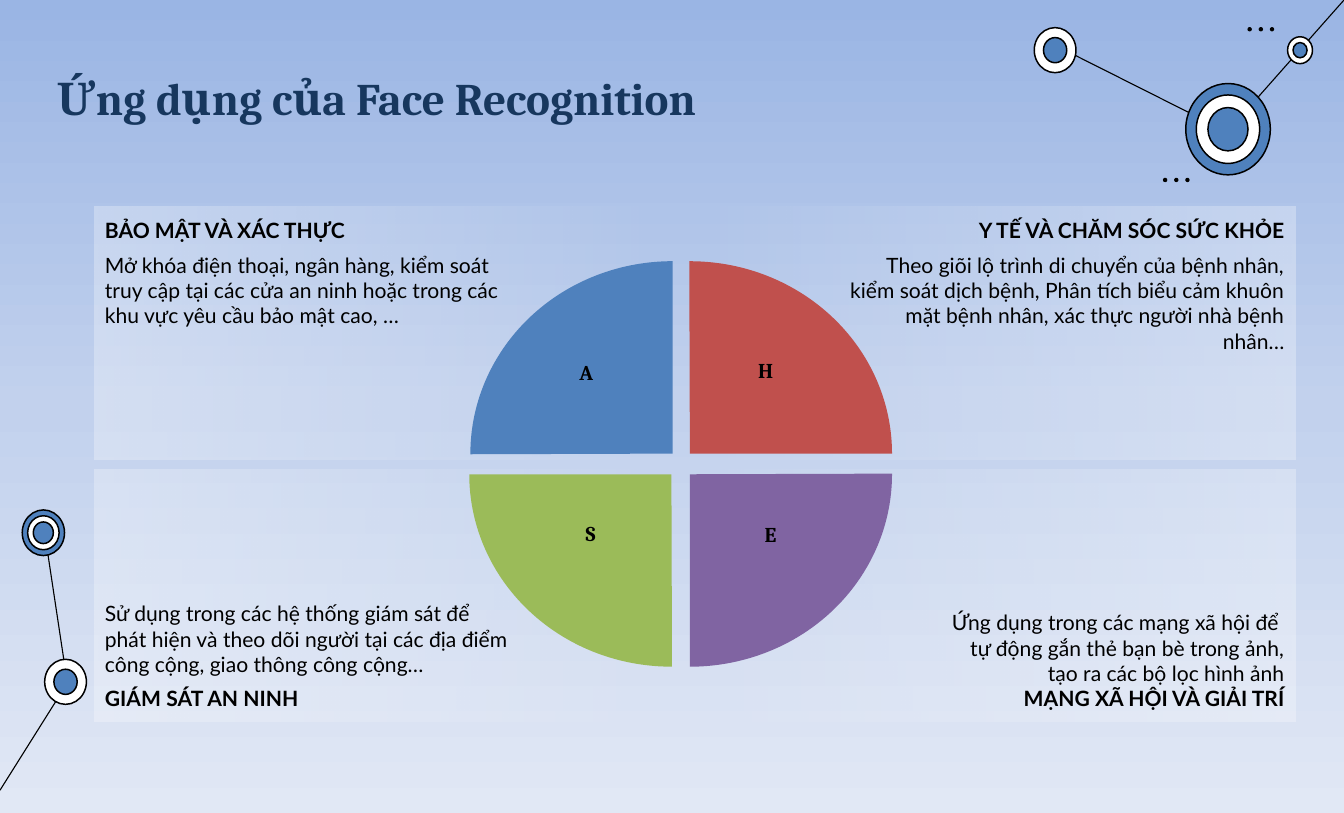
from lxml import etree
from pptx import Presentation
from pptx import util as u
from pptx.dml.color import RGBColor
from pptx.enum import shapes, text
from pptx.oxml.ns import qn

COLORS = {"black": "000000", "white": "FFFFFF", "navy": "17375E", "blue": "4F81BD",
          "red": "C0504D", "purple": "8064A2", "green": "9BBB59",
          "sky": "9AB5E4", "haze": "C2D1ED", "mist": "E1E8F5"}
RGB = {name: RGBColor.from_string(value) for name, value in COLORS.items()}
COLS, ROWS = 124, 75
LEFT, RIGHT = text.PP_ALIGN.LEFT, text.PP_ALIGN.RIGHT
TOP, BOTTOM = text.MSO_ANCHOR.TOP, text.MSO_ANCHOR.BOTTOM

prs = Presentation()
prs.slide_width, prs.slide_height = u.Inches(12.4), u.Inches(7.5)
CELL = prs.slide_width / COLS
slide = prs.slides.add_slide(prs.slide_layouts[5])


def grid(*cells):
    """Turn grid columns and rows into lengths."""
    return [u.Emu(round(n * CELL)) for n in cells]


def set_gradient(owner, fill, angle, stops):
    """Fill with (position %, colour name, opacity %) stops; clockwise angle."""
    fill.gradient()
    fill.gradient_angle = -angle % 360
    stop_list = owner.element.find(".//" + qn("a:gsLst"))
    for old in list(stop_list):
        stop_list.remove(old)
    for position, color, opacity in stops:
        gs = etree.SubElement(stop_list, qn("a:gs"), pos=str(position * 1000))
        clr = etree.SubElement(gs, qn("a:srgbClr"), val=COLORS[color])
        etree.SubElement(clr, qn("a:alpha"), val=str(opacity * 1000))


# Background
set_gradient(slide, slide.background.fill, 90,
             [(0, "sky", 100), (50, "haze", 100), (100, "mist", 100)])

# Network lines
for ends in [(6.2, 6.29 * 10, 4.1, 49), (0, 72.9, 6.1, 63.2),
             (113.3, 12.2, 97.6, 4.3), (COLS, 0, 113.3, 12.1)]:
    line = slide.shapes.add_connector(shapes.MSO_CONNECTOR.STRAIGHT, *grid(*ends))
    line.line.color.rgb = RGB["black"]
    line.line.width = u.Pt(0.75)
    etree.SubElement(line.element.spPr, qn("a:effectLst"))

# Network nodes: centre, then ring widths and colours from outside in
nodes = [
    (6.05, 62.9, [(3.85, "white"), (2.15, "blue")]),
    (4, 49.15, [(3.9, "blue"), (2.9, "white"), (1.85, "blue")]),
    (113.3, 11.92, [(7.8, "blue"), (5.85, "white"), (3.7, "blue")]),
    (97.35, 4.63, [(3.85, "white"), (2.15, "blue")]),
    (119.95, 4.63, [(2.3, "white"), (1.3, "blue")]),
]
for x, y, rings in nodes:
    for width, color in rings:
        height = width * 1.08
        sp = slide.shapes.add_shape(shapes.MSO_SHAPE.OVAL,
                                    *grid(x - width / 2, y - height / 2, width, height))
        sp.shadow.inherit = False
        sp.fill.solid()
        sp.fill.fore_color.rgb = RGB[color]
        sp.line.color.rgb = RGB["black"]
        sp.line.width = u.Pt(1)

# Rows of three dots
for left, top in [(115.1, 2.5), (107.3, 16.4)]:
    for i in range(3):
        sp = slide.shapes.add_shape(shapes.MSO_SHAPE.OVAL,
                                    *grid(left + i * 1.03, top, 0.4, 0.4))
        sp.shadow.inherit = False
        sp.fill.solid()
        sp.fill.fore_color.rgb = RGB["black"]
        sp.line.fill.background()

# Title
title = slide.shapes.title
title.left, title.top, title.width, title.height = grid(5.3, 5.8, 81.8, 5.8)
tf = title.text_frame
tf.text = "Ứng dụng của Face Recognition"
tf.auto_size = text.MSO_AUTO_SIZE.NONE
tf.vertical_anchor = BOTTOM
tf.margin_left = tf.margin_right = tf.margin_top = tf.margin_bottom = 0
p = tf.paragraphs[0]
p.alignment, p.line_spacing = LEFT, 0.9
font = p.runs[0].font
font.name, font.size, font.bold = "Cambria", u.Pt(30), True
font.color.rgb = RGB["navy"]

# Text panels: side, anchor, gap above paragraphs, (text, bold) paragraphs
panels = [
    (LEFT, TOP, 6, [
        ("BẢO MẬT VÀ XÁC THỰC", True),
        ("Mở khóa điện thoại, ngân hàng, kiểm soát truy cập tại các cửa an ninh "
         "hoặc trong các khu vực yêu cầu bảo mật cao, …", False)]),
    (RIGHT, TOP, 6, [
        ("Y TẾ VÀ CHĂM SÓC SỨC KHỎE", True),
        ("Theo giõi lộ trình di chuyển của bệnh nhân, kiểm soát dịch bệnh, Phân tích "
         "biểu cảm khuôn mặt bệnh nhân, xác thực người nhà bệnh nhân…", False)]),
    (LEFT, BOTTOM, 6, [
        ("Sử dụng trong các hệ thống giám sát để phát hiện và theo dõi người tại các "
         "địa điểm công cộng, giao thông công cộng…", False),
        ("GIÁM SÁT AN NINH", True)]),
    (RIGHT, BOTTOM, 0, [
        ("Ứng dụng trong các mạng xã hội để ", False),
        ("tự động gắn thẻ bạn bè trong ảnh,", False),
        ("tạo ra các bộ lọc hình ảnh", False),
        ("MẠNG XÃ HỘI VÀ GIẢI TRÍ", True)]),
]
for side, anchor, gap, paragraphs in panels:
    left, width, angle = (8.7, 53.3, 0) if side == LEFT else (63.2, 56.3, 180)
    top = 19.1 if anchor == TOP else 43.3
    sp = slide.shapes.add_shape(shapes.MSO_SHAPE.RECTANGLE, *grid(left, top, width, 23.3))
    sp.shadow.inherit = False
    sp.line.fill.background()
    set_gradient(sp, sp.fill, angle, [(0, "white", 30), (100, "white", 0)])
    tf = sp.text_frame
    tf.word_wrap, tf.vertical_anchor = True, anchor
    margins = (1, 15) if side == LEFT else (15, 1)
    tf.margin_left, tf.margin_right = grid(*margins)
    tf.margin_top, tf.margin_bottom = grid(1, 1)
    tf.text = "\n".join(words for words, bold in paragraphs)
    for i, (p, (words, bold)) in enumerate(zip(tf.paragraphs, paragraphs)):
        p.alignment = side
        p.space_before = u.Pt(gap if i else 0)
        font = p.runs[0].font
        font.name, font.size, font.bold = "Lato", u.Pt(14), bold
        font.color.rgb = RGB["black"]

# Quarter circles: centre, colour, then the letter and its box
quarters = [
    (62.05, 41.85, "blue", "A", 51.2, 32.7, 5.8),
    (63.65, 41.85, "red", "H", 67.7, 32.5, 5.9),
    (63.65, 43.75, "purple", "E", 68.6, 47.6, 5),
    (61.95, 43.75, "green", "S", 52, 47.5, 5),
]
for turn, (x, y, color, *_) in enumerate(quarters):
    width, height = (35.5, 37.3) if turn % 2 else (37.3, 35.5)
    sp = slide.shapes.add_shape(shapes.MSO_SHAPE.PIE,
                                *grid(x - width / 2, y - height / 2, width, height))
    sp.adjustments[0], sp.adjustments[1] = 107.89, 162
    sp.rotation = turn * 90
    sp.shadow.inherit = False
    sp.fill.solid()
    sp.fill.fore_color.rgb = RGB[color]
    sp.line.fill.background()

# Letters
for *_, letter, left, top, width in quarters:
    tf = slide.shapes.add_textbox(*grid(left, top, width, 6.5)).text_frame
    tf.word_wrap = True
    tf.text = letter
    p = tf.paragraphs[0]
    p.alignment = text.PP_ALIGN.CENTER
    font = p.runs[0].font
    font.name, font.size, font.bold = "Cambria", u.Pt(14), True
    font.color.rgb = RGB["black"]

prs.save("out.pptx")
